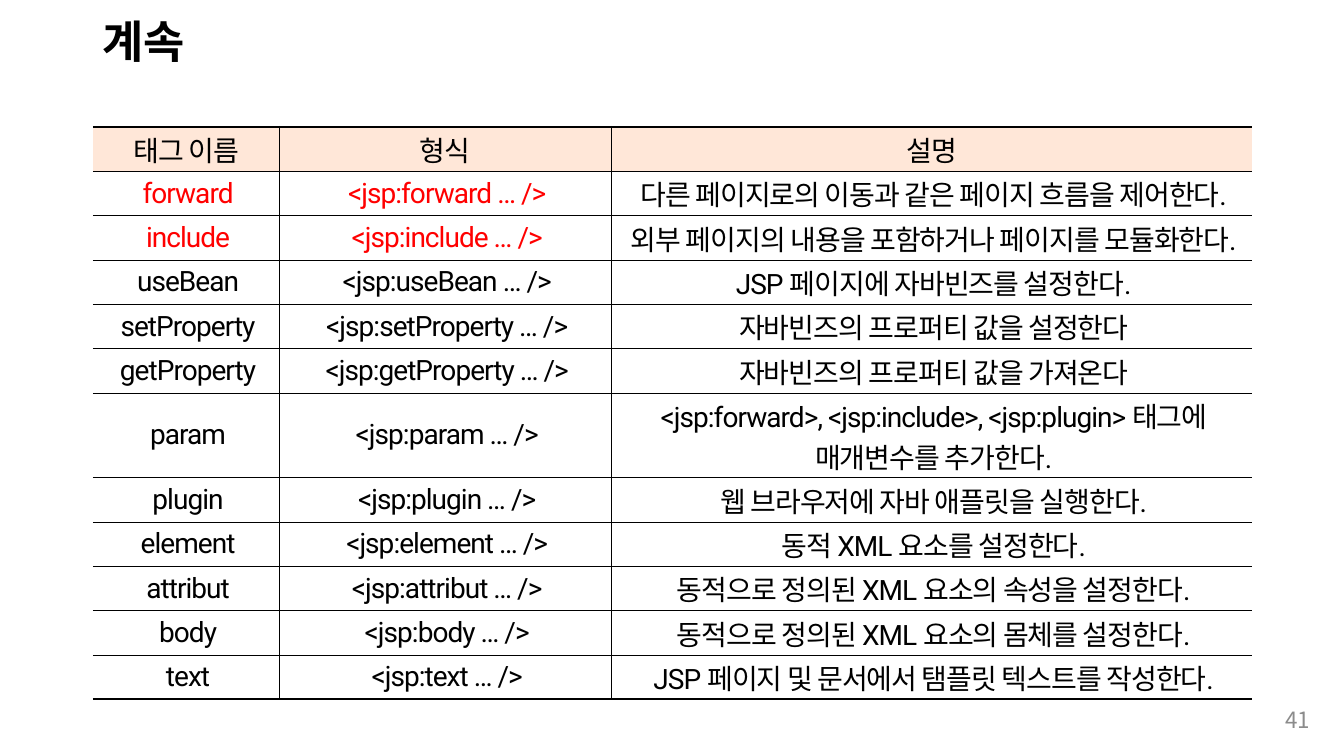
from pptx import Presentation
from pptx.dml.color import RGBColor
from pptx.enum.text import MSO_ANCHOR, PP_ALIGN
from pptx.oxml.ns import qn
from pptx.util import Inches, Pt
from lxml import etree

LEFT, CENTER, RIGHT = PP_ALIGN.LEFT, PP_ALIGN.CENTER, PP_ALIGN.RIGHT
MIDDLE = MSO_ANCHOR.MIDDLE

# Content
TITLE = "계속"
PAGE_NUMBER = "41"
HEADINGS = ("태그 이름", "형식", "설명")
TAGS = [
    ("forward", "다른 페이지로의 이동과 같은 페이지 흐름을 제어한다."),
    ("include", "외부 페이지의 내용을 포함하거나 페이지를 모듈화한다."),
    ("useBean", "JSP 페이지에 자바빈즈를 설정한다."),
    ("setProperty", "자바빈즈의 프로퍼티 값을 설정한다"),
    ("getProperty", "자바빈즈의 프로퍼티 값을 가져온다"),
    ("param", "<jsp:forward>, <jsp:include>, <jsp:plugin> 태그에 매개변수를 추가한다."),
    ("plugin", "웹 브라우저에 자바 애플릿을 실행한다."),
    ("element", "동적 XML 요소를 설정한다."),
    ("attribut", "동적으로 정의된 XML 요소의 속성을 설정한다."),
    ("body", "동적으로 정의된 XML 요소의 몸체를 설정한다."),
    ("text", "JSP 페이지 및 문서에서 탬플릿 텍스트를 작성한다."),
]
HIGHLIGHTED = {"forward", "include"}
TWO_LINE = {"param"}

THEME = {
    "latin": "Roboto", "hangul": "Noto Sans CJK KR",
    "ink": "000000", "accent": "FF0000", "muted": "8C8C8C", "header": "FFE7D8",
    "title_size": 32, "table_size": 20, "number_size": 16,
    "thin": 0.28, "thick": 1.7,
}

# Layout in inches
SLIDE_W, SLIDE_H = 13.33, 7.5
MARGIN, TABLE_TOP = 0.92, 1.26
COLUMNS = (1.85, 3.29, 6.36)
ROW, TWO_LINE_ROW = 0.44, 0.84
CELL_INSET, BODY_INDENT = 0.02, 0.04


def style_paragraph(paragraph, size, color, align, font=THEME["latin"], bold=False, spacing=None):
    paragraph.alignment = align
    for run in paragraph.runs:
        run.font.size, run.font.bold, run.font.name = Pt(size), bold, font
        run.font.color.rgb = RGBColor.from_string(color)
        properties = run.font._element
        etree.SubElement(properties, qn("a:ea")).set("typeface", THEME["hangul"])
        if spacing is not None:
            properties.set("spc", str(spacing))


def add_label(slide, box, text, **style):
    frame = slide.shapes.add_textbox(*map(Inches, box)).text_frame
    frame.word_wrap = True
    frame.vertical_anchor = MIDDLE
    frame.text = text
    style_paragraph(frame.paragraphs[0], **style)
    return frame.paragraphs[0]


def set_borders(cell, widths):
    """Draw left, right, top and bottom edges; a width of 0 hides the edge."""
    properties = cell._tc.get_or_add_tcPr()
    for position, (side, width) in enumerate(zip("LRTB", widths)):
        line = etree.Element(qn(f"a:ln{side}"), w=str(Pt(width)))
        if width:
            fill = etree.SubElement(line, qn("a:solidFill"))
            etree.SubElement(fill, qn("a:srgbClr")).set("val", THEME["ink"])
        else:
            etree.SubElement(line, qn("a:noFill"))
        properties.insert(position, line)


def fill_cell(cell, text, color, is_header):
    cell.margin_left = cell.margin_right = Inches(CELL_INSET)
    cell.margin_top = cell.margin_bottom = Inches(CELL_INSET)
    cell.vertical_anchor = MIDDLE
    cell.text = text
    paragraph = cell.text_frame.paragraphs[0]
    style_paragraph(paragraph, THEME["table_size"], color, CENTER, spacing=-70)
    if is_header:
        cell.fill.solid()
        cell.fill.fore_color.rgb = RGBColor.from_string(THEME["header"])
    else:
        cell.fill.background()
        properties = paragraph._p.get_or_add_pPr()
        properties.set("marL", str(Inches(BODY_INDENT)))
        properties.set("indent", "0")


def add_tag_table(slide):
    rows = [HEADINGS] + [(tag, f"<jsp:{tag} … />", use) for tag, use in TAGS]
    heights = [TWO_LINE_ROW if row[0] in TWO_LINE else ROW for row in rows]
    table = slide.shapes.add_table(
        len(rows), len(COLUMNS), Inches(MARGIN), Inches(TABLE_TOP),
        Inches(sum(COLUMNS)), Inches(sum(heights))).table
    table.horz_banding = table.first_row = False
    for column, width in zip(table.columns, COLUMNS):
        column.width = Inches(width)

    thin, thick = THEME["thin"], THEME["thick"]
    last_row, last_column = len(rows) - 1, len(COLUMNS) - 1
    for r, (row, height) in enumerate(zip(rows, heights)):
        table.rows[r].height = Inches(height)
        for c, text in enumerate(row):
            red = row[0] in HIGHLIGHTED and c < last_column
            cell = table.cell(r, c)
            fill_cell(cell, text, THEME["accent" if red else "ink"], r == 0)
            set_borders(cell, (thin if c else 0, thin if c < last_column else 0,
                               thin if r else thick, thin if r < last_row else thick))


def main():
    deck = Presentation()
    deck.slide_width, deck.slide_height = Inches(SLIDE_W), Inches(SLIDE_H)
    slide = deck.slides.add_slide(deck.slide_layouts[6])

    # Title
    title = add_label(slide, (MARGIN, 0.06, sum(COLUMNS), 0.75), TITLE,
                      size=THEME["title_size"], color=THEME["ink"], align=LEFT, bold=True)
    title.line_spacing = 0.9

    # Tag table
    add_tag_table(slide)

    # Page number
    add_label(slide, (12.52, 6.94, 0.57, 0.4), PAGE_NUMBER, size=THEME["number_size"],
              color=THEME["muted"], align=RIGHT, font=THEME["hangul"])

    deck.save("out.pptx")


if __name__ == "__main__":
    main()
